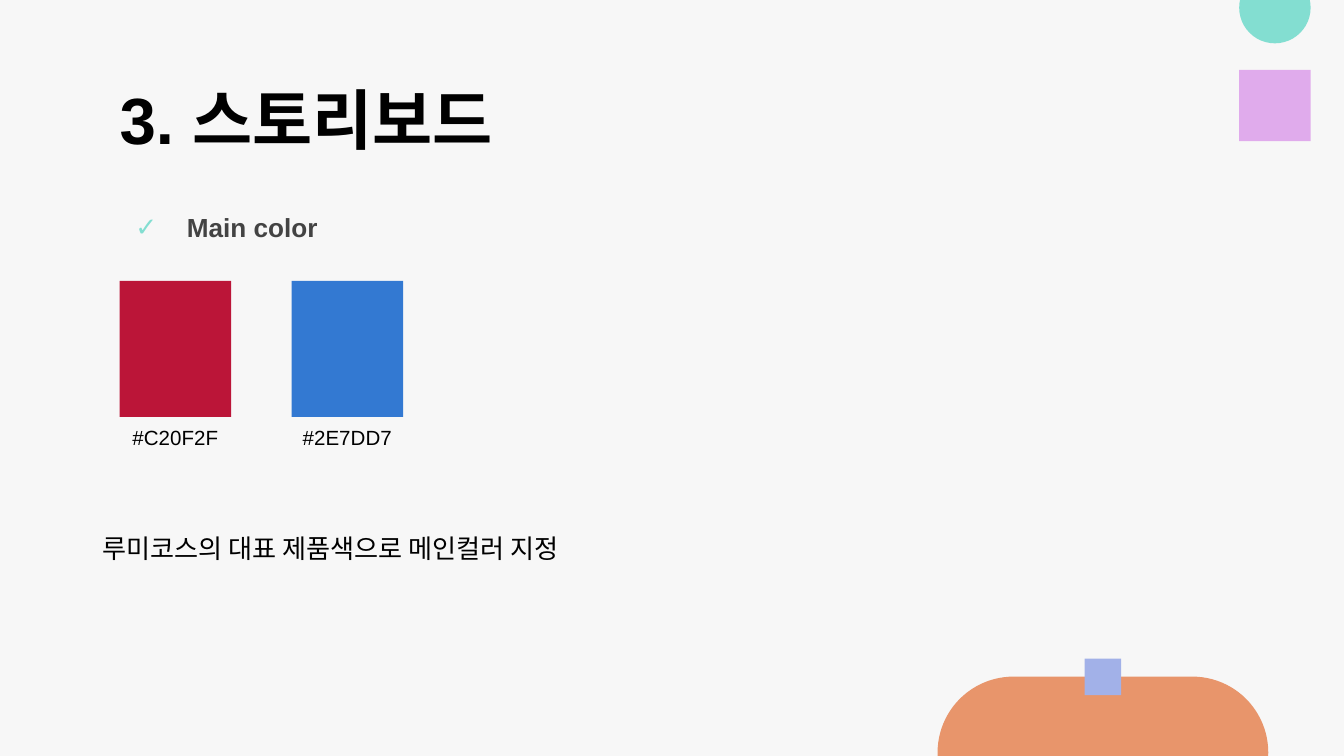
from dataclasses import dataclass

from lxml.etree import SubElement
from pptx import Presentation
from pptx.dml.color import RGBColor
from pptx.enum.shapes import MSO_SHAPE
from pptx.enum.text import MSO_ANCHOR, MSO_AUTO_SIZE, PP_ALIGN
from pptx.oxml.ns import qn
from pptx.util import Cm, Pt


@dataclass(frozen=True)
class Theme:
    """Colours, font and type sizes of the slide."""

    font: str = "Arial"
    background: str = "F7F7F7"
    black: str = "000000"
    gray: str = "434343"
    mint: str = "83DED1"
    lilac: str = "E0ABEC"
    orange: str = "E8956B"
    periwinkle: str = "A2B1E8"
    main_red: str = "BB1538"
    main_blue: str = "3379D2"
    title_size: int = 35
    body_size: int = 14
    label_size: int = 11


THEME = Theme()


def place(shape, left, top, width, height):
    """Move and size a shape, in centimetres."""
    shape.left, shape.top = Cm(left), Cm(top)
    shape.width, shape.height = Cm(width), Cm(height)


def add_block(slide, kind, box, color):
    """Add a plain filled shape without outline or shadow."""
    shape = slide.shapes.add_shape(kind, *map(Cm, box))
    shape.shadow.inherit = False
    shape.fill.solid()
    shape.fill.fore_color.rgb = RGBColor.from_string(color)
    shape.line.fill.background()
    return shape


def write(text_frame, text, size, color=THEME.black, bold=False, align=PP_ALIGN.LEFT):
    """Write one formatted paragraph and return it."""
    text_frame.text = text
    paragraph = text_frame.paragraphs[0]
    paragraph.alignment = align
    paragraph.space_before = Pt(0)
    font = paragraph.font
    font.name, font.size, font.bold = THEME.font, Pt(size), bold
    font.color.rgb = RGBColor.from_string(color)
    return paragraph


def fill_placeholder(placeholder, box, text, size, color):
    """Place a placeholder and write its bold text from the top."""
    place(placeholder, *box)
    text_frame = placeholder.text_frame
    text_frame.auto_size = MSO_AUTO_SIZE.NONE
    text_frame.vertical_anchor = MSO_ANCHOR.TOP
    text_frame.margin_left = text_frame.margin_right = Cm(0.25)
    text_frame.margin_top = text_frame.margin_bottom = Cm(0.25)
    return write(text_frame, text, size, color, bold=True)


def set_bullet(paragraph, character, color):
    """Give a paragraph a coloured bullet and a hanging indent."""
    properties = paragraph._p.get_or_add_pPr()
    properties.set("marL", str(Cm(1.27)))
    properties.set("indent", str(Cm(-0.97)))
    bullet_color = SubElement(properties, qn("a:buClr"))
    SubElement(bullet_color, qn("a:srgbClr"), val=color)
    SubElement(properties, qn("a:buFont"), typeface=THEME.font)
    SubElement(properties, qn("a:buChar"), char=character)
    properties.append(properties.find(qn("a:defRPr")))


def add_text(slide, box, text, size, align=PP_ALIGN.LEFT):
    """Add a text box that fits its single line."""
    text_frame = slide.shapes.add_textbox(*map(Cm, box)).text_frame
    text_frame.word_wrap = False
    text_frame.auto_size = MSO_AUTO_SIZE.SHAPE_TO_FIT_TEXT
    write(text_frame, text, size, align=align)


def add_decorations(slide):
    """Add the coloured shapes at the right and lower edges."""
    add_block(slide, MSO_SHAPE.OVAL, (23.42, -0.53, 1.35, 1.35), THEME.mint)
    add_block(slide, MSO_SHAPE.RECTANGLE, (23.42, 1.32, 1.35, 1.35), THEME.lilac)
    pill = add_block(
        slide, MSO_SHAPE.ROUNDED_RECTANGLE, (17.72, 12.79, 6.25, 2.87), THEME.orange
    )
    pill.adjustments[0] = 0.5
    add_block(slide, MSO_SHAPE.RECTANGLE, (20.5, 12.45, 0.69, 0.69), THEME.periwinkle)


def add_swatches(slide):
    """Add the main colours in a row, each with its code below."""
    swatches = ((THEME.main_red, "#C20F2F"), (THEME.main_blue, "#2E7DD7"))
    for index, (color, code) in enumerate(swatches):
        left = 2.26 + index * 3.25
        add_block(slide, MSO_SHAPE.RECTANGLE, (left, 5.31, 2.11, 2.57), color)
        label_box = (left - 0.04, 7.9, 2.19, 0.74)
        add_text(slide, label_box, code, THEME.label_size, PP_ALIGN.CENTER)


def main():
    """Build and save the storyboard slide."""
    presentation = Presentation()
    presentation.slide_width, presentation.slide_height = Cm(25.4), Cm(14.29)
    slide = presentation.slides.add_slide(presentation.slide_layouts[1])
    slide.background.fill.solid()
    slide.background.fill.fore_color.rgb = RGBColor.from_string(THEME.background)

    add_decorations(slide)
    fill_placeholder(
        slide.shapes.title, (2.01, 1.24, 21.41, 1.6),
        "3. 스토리보드", THEME.title_size, THEME.black,
    )
    heading = fill_placeholder(
        slide.placeholders[1], (2.01, 3.66, 4.93, 1.14),
        "Main color", THEME.body_size, THEME.gray,
    )
    heading.line_spacing = 1.15
    set_bullet(heading, "✓", THEME.mint)
    add_swatches(slide)
    add_text(
        slide, (1.68, 9.93, 10.03, 0.86),
        "루미코스의 대표 제품색으로 메인컬러 지정", THEME.body_size,
    )
    presentation.save("out.pptx")


if __name__ == "__main__":
    main()
